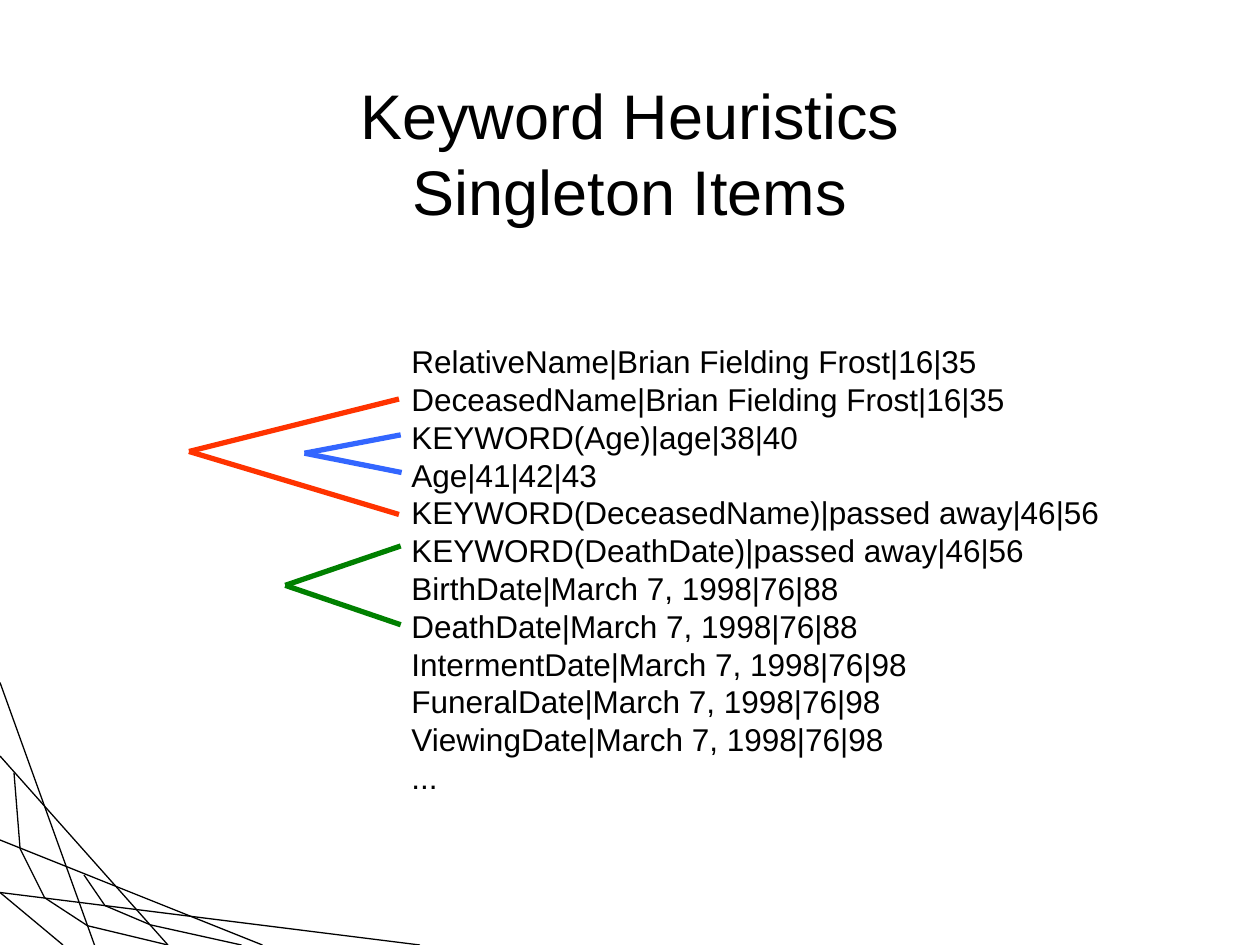
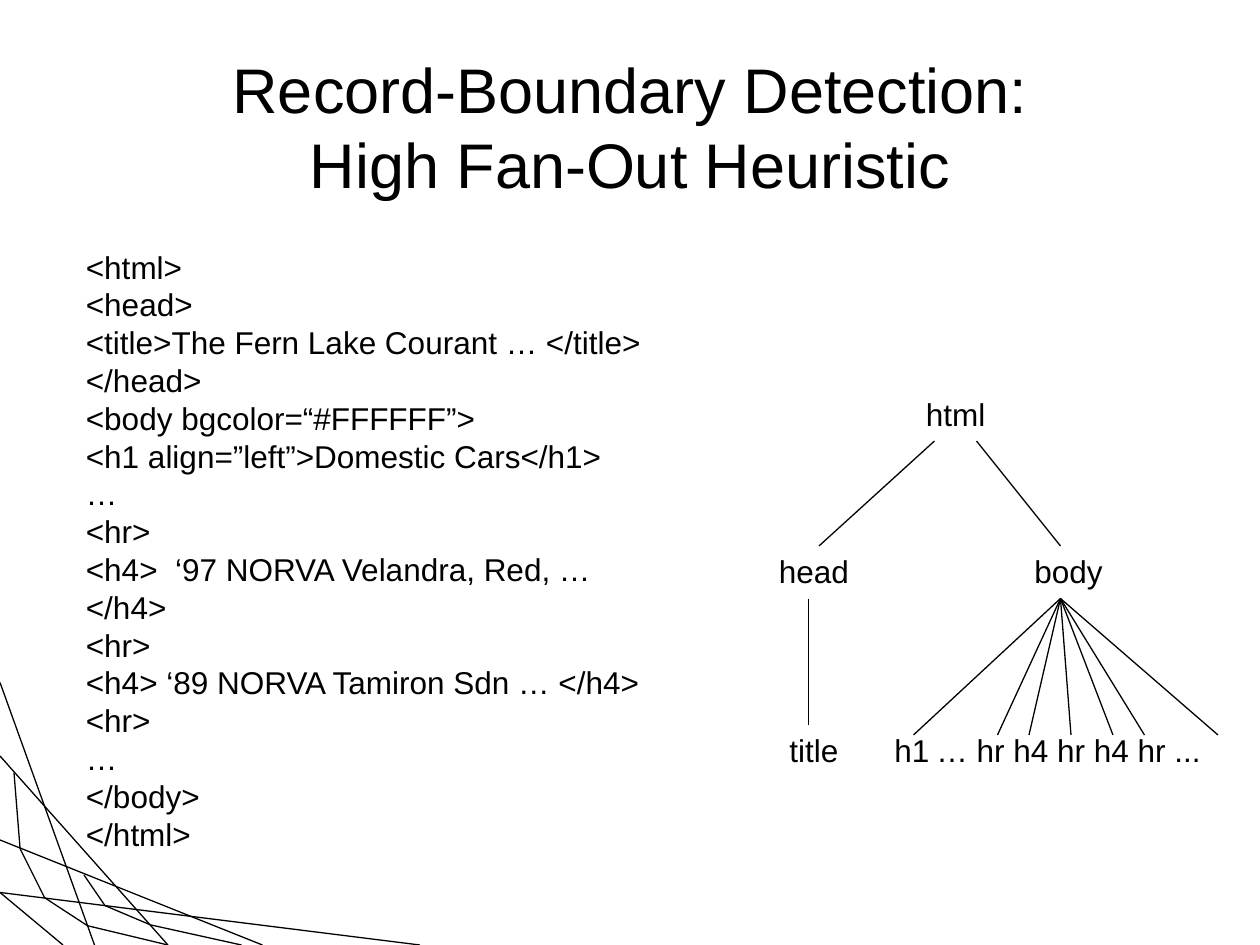
from dataclasses import dataclass
from itertools import pairwise

import pptx
import pptx.dml.color
import pptx.enum.shapes
import pptx.enum.text
import pptx.oxml.ns
import pptx.presentation
import pptx.slide
import pptx.text.text
import pptx.util
from lxml import etree

BLACK = pptx.dml.color.RGBColor(0x00, 0x00, 0x00)
RED = pptx.dml.color.RGBColor(0xFF, 0x33, 0x00)
BLUE = pptx.dml.color.RGBColor(0x33, 0x66, 0xFF)
GREEN = pptx.dml.color.RGBColor(0x00, 0x80, 0x00)

FONT = "Arial"
THIN, THICK = 0.75, 3
LINE = 42  # height of one title line

Point = tuple[float, float]


@dataclass(frozen=True)
class Label:
    text: str
    left: float
    top: float
    width: float
    height: float = 29


@dataclass(frozen=True)
class Fan:
    """Lines that spread from one tip to several ends."""
    tip: Point
    ends: tuple[Point, ...]
    color: pptx.dml.color.RGBColor = BLACK
    weight: float = THIN


WEB: tuple[tuple[Point, ...], ...] = (
    ((0, 390), (54, 540)),
    ((0, 432), (96, 540)),
    ((0, 480), (150, 540)),
    ((0, 510), (240, 540)),
    ((0, 510), (36, 540)),
    ((8, 441.5), (11.5, 485), (25.5, 513), (50, 529), (96, 540)),
    ((48, 500), (60, 517.5), (86, 528.5), (138, 540)),
)

ITEMS = Label("""RelativeName|Brian Fielding Frost|16|35
DeceasedName|Brian Fielding Frost|16|35
KEYWORD(Age)|age|38|40
Age|41|42|43
KEYWORD(DeceasedName)|passed away|46|56
KEYWORD(DeathDate)|passed away|46|56
BirthDate|March 7, 1998|76|88
DeathDate|March 7, 1998|76|88
IntermentDate|March 7, 1998|76|98
FuneralDate|March 7, 1998|76|98
ViewingDate|March 7, 1998|76|98
...""", 228, 192, 407.5, 266.5)

PAIRS = (
    Fan((108, 258), ((228, 228), (228, 294)), RED, THICK),
    Fan((174, 259), ((229, 248.5), (229.5, 270)), BLUE, THICK),
    Fan((163, 334.5), ((229, 312), (229, 357)), GREEN, THICK),
)

PAGE = Label("""<html>
<head>
<title>The Fern Lake Courant … </title>
</head>
<body bgcolor=“#FFFFFF”>
<h1 align=”left”>Domestic Cars</h1>
…
<hr>
<h4>  ‘97 NORVA Velandra, Red, … </h4>
<hr>
<h4> ‘89 NORVA Tamiron Sdn … </h4>
<hr>
…
</body>
</html>""", 42, 138, 349, 331)

NODES = (
    Label("html", 522, 222, 49),
    Label("head", 438, 312, 55),
    Label("body", 584, 312, 54),
    Label("title", 444, 414, 43),
    Label("h1", 504, 414, 35),
    Label("… hr h4 hr h4 hr ...", 528, 414, 166),
)

LEAVES = (522, 570, 588, 612, 636, 654, 696)
EDGES = (
    Fan((534, 252), ((468, 312),)),
    Fan((558, 252), ((606, 312),)),
    Fan((462, 342), ((462, 414),)),
    Fan((606, 342), tuple((x, 420) for x in LEAVES)),
)


def draw_line(slide: pptx.slide.Slide, start: Point, end: Point,
              color: pptx.dml.color.RGBColor = BLACK, weight: float = THIN) -> None:
    line = slide.shapes.add_connector(
        pptx.enum.shapes.MSO_CONNECTOR.STRAIGHT,
        *(pptx.util.Pt(n) for n in (*start, *end)))
    line.line.color.rgb = color
    line.line.width = pptx.util.Pt(weight)
    etree.SubElement(line._element.spPr, pptx.oxml.ns.qn("a:effectLst"))


def draw_fan(slide: pptx.slide.Slide, fan: Fan) -> None:
    for end in fan.ends:
        draw_line(slide, fan.tip, end, fan.color, fan.weight)


def add_text(slide: pptx.slide.Slide, label: Label,
             size: float = 18) -> pptx.text.text.TextFrame:
    box = slide.shapes.add_textbox(
        *(pptx.util.Pt(n) for n in (label.left, label.top, label.width, label.height)))
    frame = box.text_frame
    frame.text = label.text
    frame.word_wrap = False
    frame.auto_size = pptx.enum.text.MSO_AUTO_SIZE.SHAPE_TO_FIT_TEXT
    for para in frame.paragraphs:
        for run in para.runs:
            run.font.name = FONT
            run.font.size = pptx.util.Pt(size)
            run.font.color.rgb = BLACK
    return frame


def add_title(slide: pptx.slide.Slide, text: str, top: float, lift: float) -> None:
    """Centre the title; lift is extra room kept free below it."""
    frame = add_text(slide, Label(text, 54, top, 612, 90), 36)
    frame.word_wrap = True
    frame.auto_size = pptx.enum.text.MSO_AUTO_SIZE.NONE
    frame.vertical_anchor = pptx.enum.text.MSO_ANCHOR.MIDDLE
    frame.margin_bottom = pptx.util.Pt(3.6 + lift)
    frame.paragraphs[0].alignment = pptx.enum.text.PP_ALIGN.CENTER


def add_slide(deck: pptx.presentation.Presentation, title: str, top: float,
              labels: tuple[Label, ...], fans: tuple[Fan, ...],
              lift: float = 0) -> None:
    slide = deck.slides.add_slide(deck.slide_layouts[6])
    for chain in WEB:
        for start, end in pairwise(chain):
            draw_line(slide, start, end)
    add_title(slide, title, top, lift)
    for label in labels:
        add_text(slide, label)
    for fan in fans:
        draw_fan(slide, fan)


def main() -> None:
    deck = pptx.Presentation()
    deck.slide_width = pptx.util.Pt(720)
    deck.slide_height = pptx.util.Pt(540)
    add_slide(deck, "Keyword Heuristics\vSingleton Items", 42, (ITEMS,), PAIRS)
    add_slide(deck, "Record-Boundary Detection:\vHigh Fan-Out Heuristic", 48,
              (PAGE, *NODES), EDGES, LINE)
    deck.save("out.pptx")


if __name__ == "__main__":
    main()
